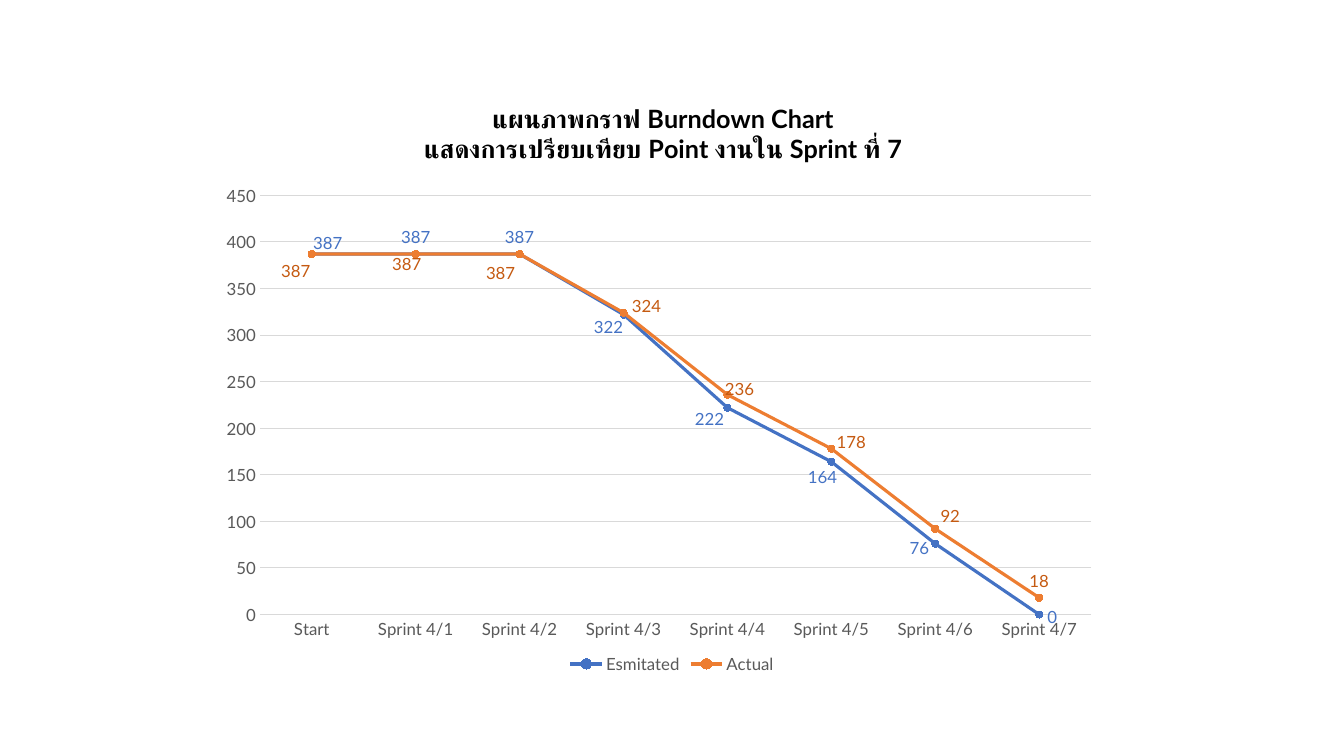
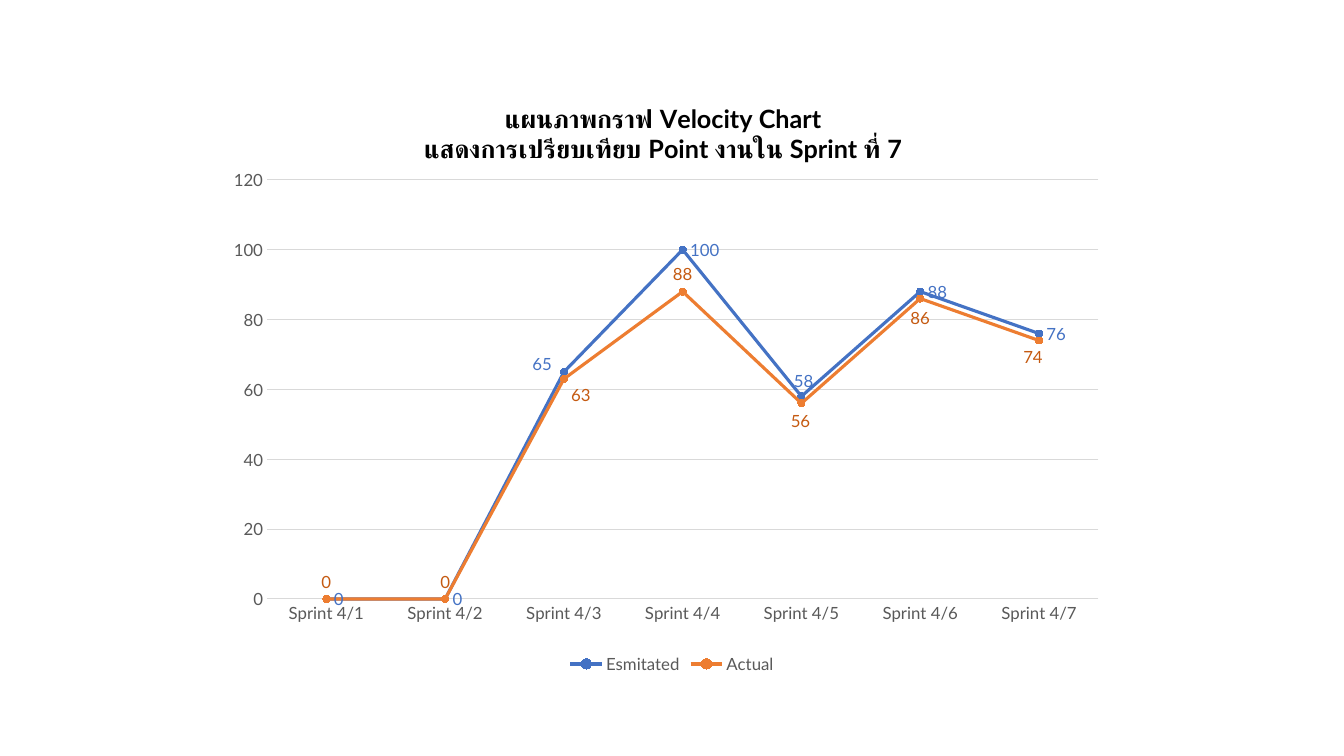
from lxml.etree import SubElement
from pptx import Presentation
from pptx.chart.data import CategoryChartData
from pptx.dml.color import RGBColor
from pptx.enum.chart import (XL_CHART_TYPE, XL_LABEL_POSITION, XL_LEGEND_POSITION,
                             XL_MARKER_STYLE, XL_TICK_MARK)
from pptx.oxml.ns import qn
from pptx.util import Emu, Pt

PX = 914400 / 100.8
FONT = "Lato"
BLACK = RGBColor(0x00, 0x00, 0x00)
GRAY = RGBColor(0x59, 0x59, 0x59)
GRID = RGBColor(0xD9, 0xD9, 0xD9)
BLUE = RGBColor(0x44, 0x72, 0xC4)
ORANGE = RGBColor(0xED, 0x7D, 0x31)
DARK_ORANGE = RGBColor(0xC5, 0x5A, 0x11)
LINE_COLORS = [BLUE, ORANGE]
LABEL_COLORS = [BLUE, DARK_ORANGE]
SUBTITLE = "แสดงการเปรียบเทียบ Point งานใน Sprint ที่ 7"
CHART_LEFT, CHART_TOP, CHART_W, CHART_H = 224, 80, 896, 598
ABOVE, RIGHT = XL_LABEL_POSITION.ABOVE, XL_LABEL_POSITION.RIGHT
SPRINTS = [f"Sprint 4/{n}" for n in range(1, 8)]

# Each series: name, values, label position, label shifts in pixels by point
CHARTS = [
    dict(title="แผนภาพกราฟ Burndown Chart", cats=["Start"] + SPRINTS,
         top=450, step=50, plot=(0.04, 0.193, 0.928, 0.701),
         series=[
             ("Esmitated", [387, 387, 387, 322, 222, 164, 76, 0], ABOVE,
              {0: (16, 6), 3: (-15, 30), 4: (-18, 28), 5: (-9, 32),
               6: (-16, 21), 7: (13, 20)}),
             ("Actual", [387, 387, 387, 324, 236, 178, 92, 18], ABOVE,
              {0: (-16, 34), 1: (-9, 27), 2: (-19, 36), 3: (23, 10),
               4: (12, 11), 5: (20, 10), 6: (15, 4)})]),
    dict(title="แผนภาพกราฟ Velocity Chart", cats=SPRINTS,
         top=120, step=20, plot=(0.048, 0.167, 0.928, 0.701),
         series=[
             ("Esmitated", [0, 0, 65, 100, 58, 88, 76], RIGHT,
              {2: (-39, -8), 4: (-15, -16)}),
             ("Actual", [0, 0, 63, 88, 56, 86, 74], ABOVE,
              {2: (17, 33), 4: (-1, 35), 5: (0, 37), 6: (-6, 34)})]),
]


def set_layout(parent, index, **values):
    """Give a chart element a manual layout, as its child at index."""
    for old in parent.findall(qn("c:layout")):
        parent.remove(old)
    layout = SubElement(parent, qn("c:layout"))
    parent.insert(index, layout)
    manual = SubElement(layout, qn("c:manualLayout"))
    for tag, value in values.items():
        SubElement(manual, qn("c:" + tag)).set("val", str(value))


def style_font(font, size, color):
    """Set face, size and colour of a font."""
    font.name = FONT
    font.size = Pt(size)
    font.color.rgb = color


prs = Presentation()
prs.slide_width, prs.slide_height = Emu(12192000), Emu(6858000)

for info in CHARTS:
    s = prs.slides.add_slide(prs.slide_layouts[6])
    data = CategoryChartData(number_format="General")
    data.categories = info["cats"]
    for name, values, _, _ in info["series"]:
        data.add_series(name, values)
    box = [Emu(round(v * PX)) for v in (CHART_LEFT, CHART_TOP, CHART_W, CHART_H)]
    chart = s.shapes.add_chart(XL_CHART_TYPE.LINE_MARKERS, *box, data).chart
    style_font(chart.font, 10, BLACK)

    chart.has_title = True
    tf = chart.chart_title.text_frame
    for i, line in enumerate([info["title"], SUBTITLE]):
        p = tf.paragraphs[0] if i == 0 else tf.add_paragraph()
        r = p.add_run()
        r.text = line
        style_font(r.font, 18, BLACK)
        r.font.bold = True
    chart.chart_title.include_in_layout = False
    title = chart.element.xpath("c:chart/c:title")[0]
    set_layout(title, 1, xMode="edge", yMode="edge", x=0.22, y=0.03)

    x, y, w, h = info["plot"]
    plot_area = chart.element.xpath("c:chart/c:plotArea")[0]
    set_layout(plot_area, 0, layoutTarget="inner", xMode="edge", yMode="edge",
               x=x, y=y, w=w, h=h)

    chart.has_legend = True
    chart.legend.position = XL_LEGEND_POSITION.BOTTOM
    chart.legend.include_in_layout = False
    style_font(chart.legend.font, 12, GRAY)

    cat, val = chart.category_axis, chart.value_axis
    for axis in (cat, val):
        axis.major_tick_mark = axis.minor_tick_mark = XL_TICK_MARK.NONE
        style_font(axis.tick_labels.font, 12, GRAY)
    cat.has_major_gridlines = False
    val.has_major_gridlines = True
    for line in (cat.format.line, val.major_gridlines.format.line):
        line.color.rgb = GRID
        line.width = Pt(0.75)
    val.format.line.fill.background()
    val.minimum_scale, val.maximum_scale = 0, info["top"]
    val.major_unit = info["step"]

    plot = chart.plots[0]
    plot.vary_by_categories = False
    for series, (_, _, position, shifts), color, label_color in zip(
            plot.series, info["series"], LINE_COLORS, LABEL_COLORS):
        series.smooth = False
        series.format.line.color.rgb = color
        series.format.line.width = Pt(2.25)
        series.marker.style = XL_MARKER_STYLE.CIRCLE
        series.marker.size = 5
        series.marker.format.fill.solid()
        series.marker.format.fill.fore_color.rgb = color
        series.marker.format.line.color.rgb = color
        labels = series.data_labels
        labels.show_value = True
        labels.position = position
        style_font(labels.font, 12, label_color)
        for i in shifts:
            label = series.points[i].data_label
            label.position = position
            style_font(label.font, 12, label_color)

    for ser, (_, _, _, shifts) in zip(chart.element.xpath(".//c:ser"), info["series"]):
        for d_lbl in ser.xpath("c:dLbls/c:dLbl"):
            dx, dy = shifts[int(d_lbl.find(qn("c:idx")).get("val"))]
            set_layout(d_lbl, 1, x=round(dx / CHART_W, 4), y=round(dy / CHART_H, 4))
        for leader in ser.xpath("c:dLbls/c:showLeaderLines"):
            leader.set("val", "0")

prs.save("out.pptx")
